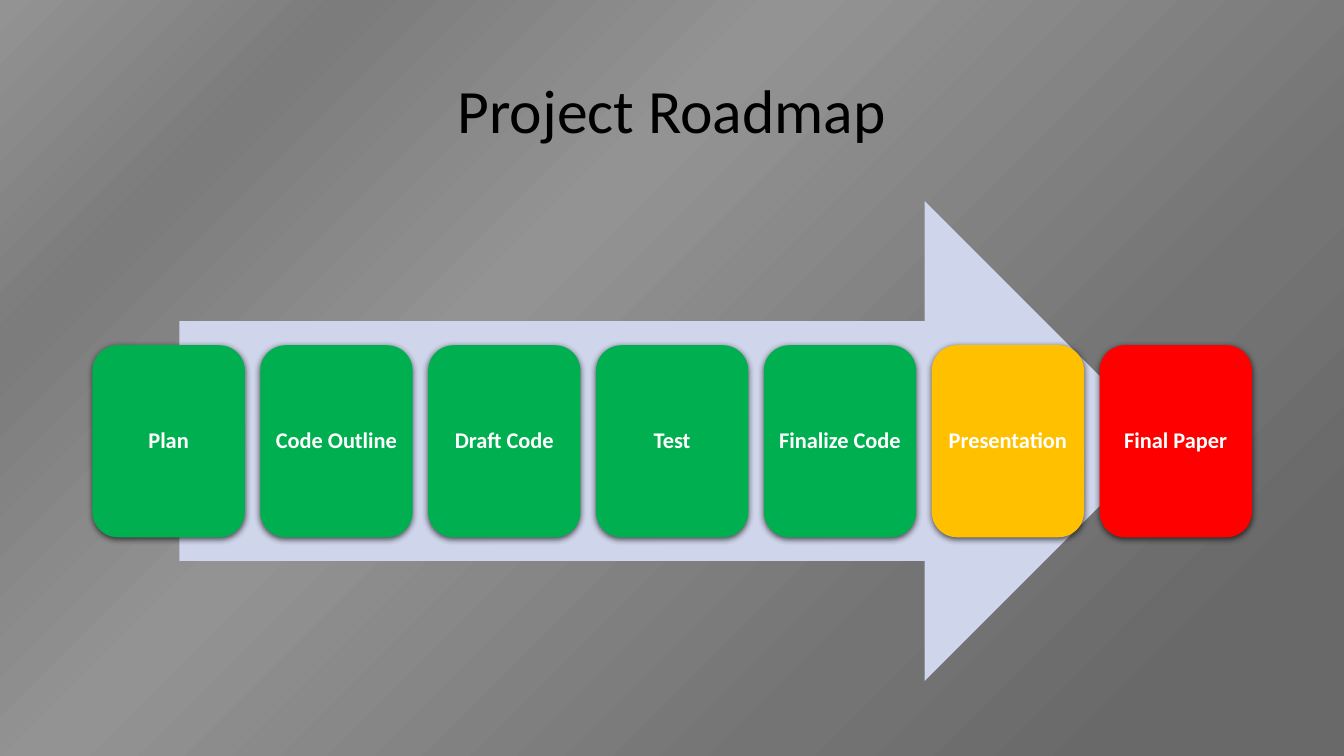
import pptx
import pptx.dml.color
import pptx.enum.shapes
import pptx.enum.text
import pptx.oxml
import pptx.oxml.ns
import pptx.util
from pptx.util import Cm

FONT = "Calibri"
COLOURS = {
    "title": "000000",
    "label": "FFFFFF",
    "arrow": "CFD5EA",
    "done": "00B050",
    "in progress": "FFC000",
    "to do": "FF0000",
}
BACKGROUND_STOPS = [(0, "939393"), (17, "7C7C7C"), (38, "939393"),
                    (72, "747474"), (89, "696969")]
STEPS = [
    ("Plan", "done"),
    ("Code Outline", "done"),
    ("Draft Code", "done"),
    ("Test", "done"),
    ("Finalize Code", "done"),
    ("Presentation", "in progress"),
    ("Final Paper", "to do"),
]
STEP_LEFT, STEP_TOP = 2.33, 8.7
STEP_WIDTH, STEP_HEIGHT = 3.84, 4.84
STEP_PITCH = 4.23


def colour(name):
    return pptx.dml.color.RGBColor.from_string(COLOURS[name])


def paint_background(page):
    fill = page.background.fill
    fill.gradient()
    fill.gradient_angle = 315  # counter-clockwise: towards the lower right
    stop_list = page.element.find(".//" + pptx.oxml.ns.qn("a:gsLst"))
    for stop in list(stop_list):
        stop_list.remove(stop)
    for percent, value in BACKGROUND_STOPS:
        stop_list.append(pptx.oxml.parse_xml(
            f'<a:gs {pptx.oxml.ns.nsdecls("a")} pos="{percent * 1000}">'
            f'<a:srgbClr val="{value}"/></a:gs>'))


def write_text(box, text, size, colour_name, bold=False, margin=0.18):
    frame = box.text_frame
    frame.word_wrap = True
    frame.vertical_anchor = pptx.enum.text.MSO_ANCHOR.MIDDLE
    frame.margin_left = frame.margin_right = Cm(margin)
    frame.margin_top = frame.margin_bottom = Cm(margin)
    para = frame.paragraphs[0]
    para.alignment = pptx.enum.text.PP_ALIGN.CENTER
    para.line_spacing = 0.9
    span = para.add_run()
    span.text = text
    span.font.name = FONT
    span.font.size = pptx.util.Pt(size)
    span.font.bold = bold
    span.font.color.rgb = colour(colour_name)


def add_plain_shape(page, kind, left, top, width, height, colour_name):
    shape = page.shapes.add_shape(kind, Cm(left), Cm(top), Cm(width), Cm(height))
    shape.shadow.inherit = False
    shape.fill.solid()
    shape.fill.fore_color.rgb = colour(colour_name)
    shape.line.fill.background()
    return shape


def add_soft_shadow(shape):
    effects = shape.element.spPr.find(pptx.oxml.ns.qn("a:effectLst"))
    effects.append(pptx.oxml.parse_xml(
        f'<a:outerShdw {pptx.oxml.ns.nsdecls("a")} blurRad="57150" dist="19050" '
        'dir="5400000" algn="ctr" rotWithShape="0"><a:srgbClr val="000000">'
        '<a:alpha val="63000"/></a:srgbClr></a:outerShdw>'))


def add_step(page, index, label, status):
    card = add_plain_shape(
        page, pptx.enum.shapes.MSO_SHAPE.ROUNDED_RECTANGLE,
        STEP_LEFT + index * STEP_PITCH, STEP_TOP, STEP_WIDTH, STEP_HEIGHT, status)
    add_soft_shadow(card)
    write_text(card, label, 16, "label", bold=True, margin=0.15)


def main():
    deck = pptx.Presentation()
    deck.slide_width, deck.slide_height = Cm(33.87), Cm(19.05)
    page = deck.slides.add_slide(deck.slide_layouts[6])
    paint_background(page)

    # Title
    title = page.shapes.add_textbox(Cm(2.33), Cm(1.01), Cm(29.21), Cm(3.68))
    write_text(title, "Project Roadmap", 44, "title")

    # Arrow behind the steps
    add_plain_shape(page, pptx.enum.shapes.MSO_SHAPE.RIGHT_ARROW,
                    4.52, 5.07, 24.83, 12.09, "arrow")

    # Steps, coloured by status
    for index, (label, status) in enumerate(STEPS):
        add_step(page, index, label, status)

    deck.save("out.pptx")


main()
